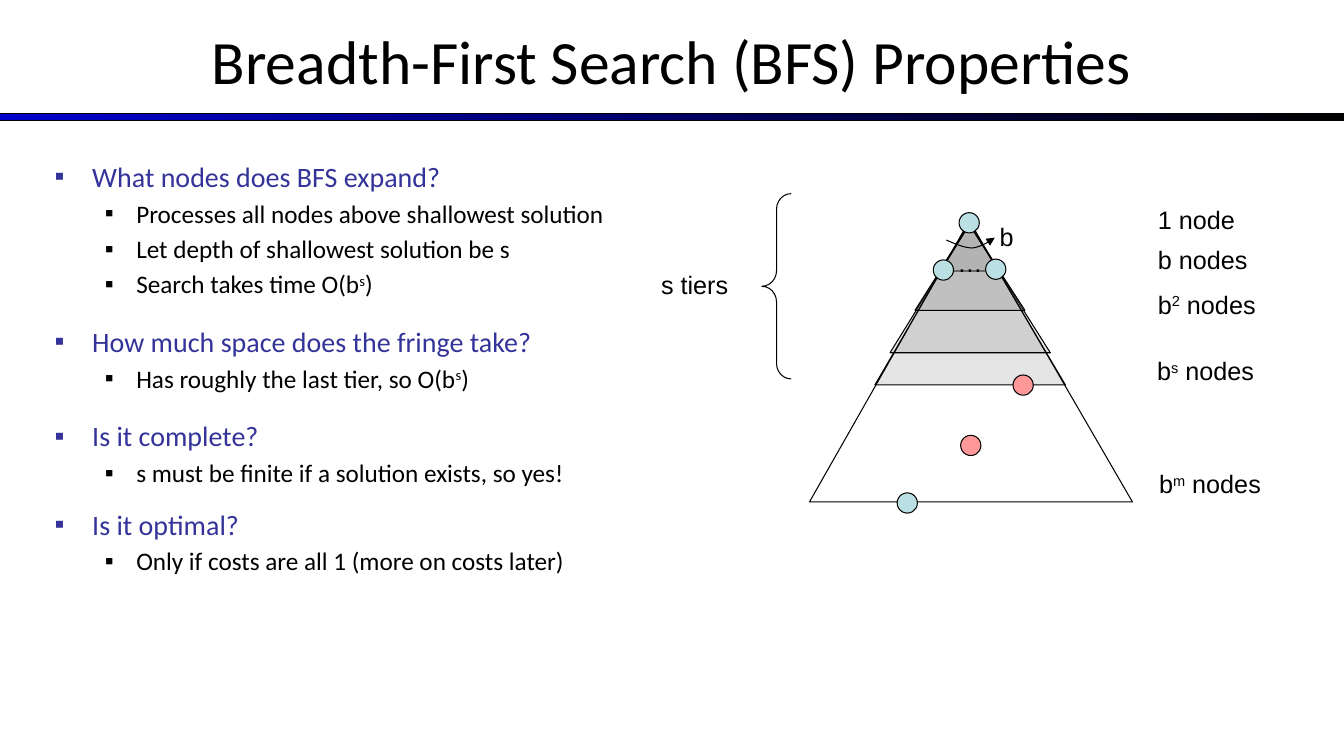
from dataclasses import dataclass
from itertools import pairwise

from lxml import etree
from pptx import Presentation
from pptx import util as u
from pptx.dml.color import RGBColor
from pptx.enum import shapes, text
from pptx.oxml import ns
from pptx.shapes import autoshape
from pptx.slide import Slide
from pptx.text.text import TextFrame, _Paragraph

Point = tuple[float, float]


@dataclass(frozen=True)
class Theme:
    ink: str = "000000"
    heading: str = "333399"
    bar: str = "0000CC"
    tier: str = "808080"
    node: str = "BBE0E3"
    solution: str = "FF9999"
    body_font: str = "Calibri"
    label_font: str = "Arial"
    title_size: float = 44
    heading_size: float = 20
    text_size: float = 18
    line_width: float = 0.75
    tier_opacity: int = 20


@dataclass(frozen=True)
class Bullet:
    words: str
    level: int = 1
    before: float = 3.6


@dataclass(frozen=True)
class Tier:
    left: float
    right: float
    apex: float
    base: float
    shaded: bool = True


@dataclass(frozen=True)
class Node:
    left: float
    top: float
    color: str


@dataclass(frozen=True)
class Label:
    words: str
    left: float
    top: float
    width: float


THEME = Theme()
APEX_X = 24.43
NODE_SIZE = 0.51
LABEL_HEIGHT = 1.02
CURVE_STEPS = 8

BULLETS = [
    Bullet("What nodes does BFS expand?", 0, 0),
    Bullet("Processes all nodes above shallowest solution"),
    Bullet("Let depth of shallowest solution be s"),
    Bullet("Search takes time O(b^s^)"),
    Bullet("How much space does the fringe take?", 0, 18.2),
    Bullet("Has roughly the last tier, so O(b^s^)"),
    Bullet("Is it complete?", 0, 18.2),
    Bullet("s must be finite if a solution exists, so yes!"),
    Bullet("Is it optimal?", 0, 13.9),
    Bullet("Only if costs are all 1 (more on costs later)"),
]
INDENTS = [(0.95, -0.95), (2.06, -0.79)]

TIERS = [
    Tier(23.67, 25.2, 5.66, 6.83),
    Tier(22.05, 26.85, 5.61, 9.7),
    Tier(22.43, 26.47, 5.66, 8.89),
    Tier(23.06, 25.83, 5.66, 7.82),
    Tier(20.4, 28.54, 5.56, 12.65, shaded=False),
]
NODES = [
    Node(24.17, 5.36, THEME.node),
    Node(23.52, 6.55, THEME.node),
    Node(24.84, 6.53, THEME.node),
    Node(22.61, 12.42, THEME.node),
    Node(25.53, 9.45, THEME.solution),
    Node(24.21, 10.97, THEME.solution),
]
LABELS = [
    Label("…", 23.88, 6.12, 0.76),
    Label("b", 24.94, 5.44, 0.84),
    Label("1 node", 28.93, 5.03, 3.1),
    Label("b nodes", 28.93, 6.02, 3.1),
    Label("b^2^ nodes", 28.93, 7.16, 3.1),
    Label("b^s^ nodes", 28.91, 8.84, 4.06),
    Label("b^m^ nodes", 28.96, 11.68, 4.06),
    Label("s tiers", 16.41, 6.65, 3.51),
]
BRANCH_CURVE = [(23.85, 6.05), (24.08, 6.15), (24.31, 6.25), (24.51, 6.25),
                (24.71, 6.22), (24.89, 6.12), (25.07, 5.99)]


def add_words(para: _Paragraph, words: str, font: str, size: float, color: str) -> None:
    for index, part in enumerate(words.split("^")):
        span = para.add_run()
        span.text = part
        span.font.name = font
        span.font.size = u.Pt(size)
        span.font.color.rgb = RGBColor.from_string(color)
        if index % 2:
            span.font._element.set("baseline", "30000")


def style_shape(shape: autoshape.Shape, fill: str | None = None) -> None:
    shape.shadow.inherit = False
    shape.line.color.rgb = RGBColor.from_string(THEME.ink)
    shape.line.width = u.Pt(THEME.line_width)
    if fill:
        shape.fill.solid()
        shape.fill.fore_color.rgb = RGBColor.from_string(fill)
    else:
        shape.fill.background()


def add_path(page: Slide, points: list[Point], close: bool) -> autoshape.Shape:
    start, *rest = [(u.Cm(x), u.Cm(y)) for x, y in points]
    builder = page.shapes.build_freeform(*start)
    builder.add_line_segments(rest, close=close)
    return builder.convert_to_shape()


def add_title(page: Slide, words: str) -> None:
    title = page.shapes.title
    title.left, title.top, title.width, title.height = (
        u.Cm(0), u.Cm(-0.08), u.Cm(33.87), u.Cm(3.18))
    frame = title.text_frame
    frame.auto_size = text.MSO_AUTO_SIZE.NONE
    frame.vertical_anchor = text.MSO_ANCHOR.MIDDLE
    para = frame.paragraphs[0]
    para.alignment = text.PP_ALIGN.CENTER
    add_words(para, words, THEME.body_font, THEME.title_size, THEME.ink)


def add_bar(page: Slide) -> None:
    bar = page.shapes.add_shape(
        shapes.MSO_SHAPE.RECTANGLE, u.Cm(0), u.Cm(2.86), u.Cm(33.87), u.Cm(0.19))
    style_shape(bar)
    bar.fill.gradient()
    bar.fill.gradient_angle = 0
    for stop, position, color in zip(bar.fill.gradient_stops, (0, 1), (THEME.bar, THEME.ink)):
        stop.position = position
        stop.color.rgb = RGBColor.from_string(color)


def add_bullet(frame: TextFrame, bullet: Bullet, first: bool) -> None:
    para = frame.paragraphs[0] if first else frame.add_paragraph()
    para.level = bullet.level
    color, size = ((THEME.ink, THEME.text_size) if bullet.level
                   else (THEME.heading, THEME.heading_size))
    margin, indent = INDENTS[bullet.level]
    props = para._p.get_or_add_pPr()
    props.set("marL", str(u.Cm(margin)))
    props.set("indent", str(u.Cm(indent)))
    mark_color = etree.SubElement(props, ns.qn("a:buClr"))
    etree.SubElement(mark_color, ns.qn("a:srgbClr"), val=color)
    etree.SubElement(props, ns.qn("a:buFont"), typeface=THEME.label_font)
    etree.SubElement(props, ns.qn("a:buChar"), char="▪")
    para.space_before = u.Pt(bullet.before)
    add_words(para, bullet.words, THEME.body_font, size, color)


def add_body(page: Slide) -> None:
    body = page.placeholders[1]
    body.left, body.top, body.width, body.height = (
        u.Cm(1.12), u.Cm(3.89), u.Cm(15.8), u.Cm(13.13))
    frame = body.text_frame
    frame.auto_size = text.MSO_AUTO_SIZE.NONE
    for index, bullet in enumerate(BULLETS):
        add_bullet(frame, bullet, index == 0)


def add_tier(page: Slide, tier: Tier) -> None:
    corners = [(APEX_X, tier.apex), (tier.left, tier.base), (tier.right, tier.base)]
    triangle = add_path(page, corners, close=True)
    style_shape(triangle, THEME.tier if tier.shaded else None)
    if tier.shaded:
        color = triangle._element.spPr.find(f"{ns.qn('a:solidFill')}/{ns.qn('a:srgbClr')}")
        etree.SubElement(color, ns.qn("a:alpha"), val=str(THEME.tier_opacity * 1000))


def add_node(page: Slide, node: Node) -> None:
    circle = page.shapes.add_shape(
        shapes.MSO_SHAPE.OVAL, u.Cm(node.left), u.Cm(node.top), u.Cm(NODE_SIZE), u.Cm(NODE_SIZE))
    style_shape(circle, node.color)


def add_label(page: Slide, label: Label) -> None:
    box = page.shapes.add_textbox(
        u.Cm(label.left), u.Cm(label.top), u.Cm(label.width), u.Cm(LABEL_HEIGHT))
    box.text_frame.word_wrap = True
    add_words(box.text_frame.paragraphs[0], label.words,
              THEME.label_font, THEME.text_size, THEME.ink)


def bezier(controls: list[Point], t: float) -> Point:
    while len(controls) > 1:
        controls = [(a + (c - a) * t, b + (d - b) * t) for (a, b), (c, d) in pairwise(controls)]
    return controls[0]


def add_branch_arrow(page: Slide) -> None:
    points = BRANCH_CURVE[:1] + [
        bezier(BRANCH_CURVE[start:start + 4], step / CURVE_STEPS)
        for start in (0, 3) for step in range(1, CURVE_STEPS + 1)]
    arrow = add_path(page, points, close=False)
    style_shape(arrow)
    etree.SubElement(arrow._element.spPr.find(ns.qn("a:ln")), ns.qn("a:tailEnd"), type="triangle")


def add_brace(page: Slide) -> None:
    brace = page.shapes.add_shape(
        shapes.MSO_SHAPE.LEFT_BRACE, u.Cm(19.2), u.Cm(4.88), u.Cm(0.74), u.Cm(4.67))
    brace.adjustments[0] = 0.53
    style_shape(brace)


def main() -> None:
    deck = Presentation()
    deck.slide_width, deck.slide_height = u.Cm(33.87), u.Cm(19.05)
    page = deck.slides.add_slide(deck.slide_layouts[1])
    add_bar(page)
    add_title(page, "Breadth-First Search (BFS) Properties")
    add_body(page)
    for tier in TIERS:
        add_tier(page, tier)
    for node in NODES:
        add_node(page, node)
    add_branch_arrow(page)
    add_brace(page)
    for label in LABELS:
        add_label(page, label)
    deck.save("out.pptx")


if __name__ == "__main__":
    main()
